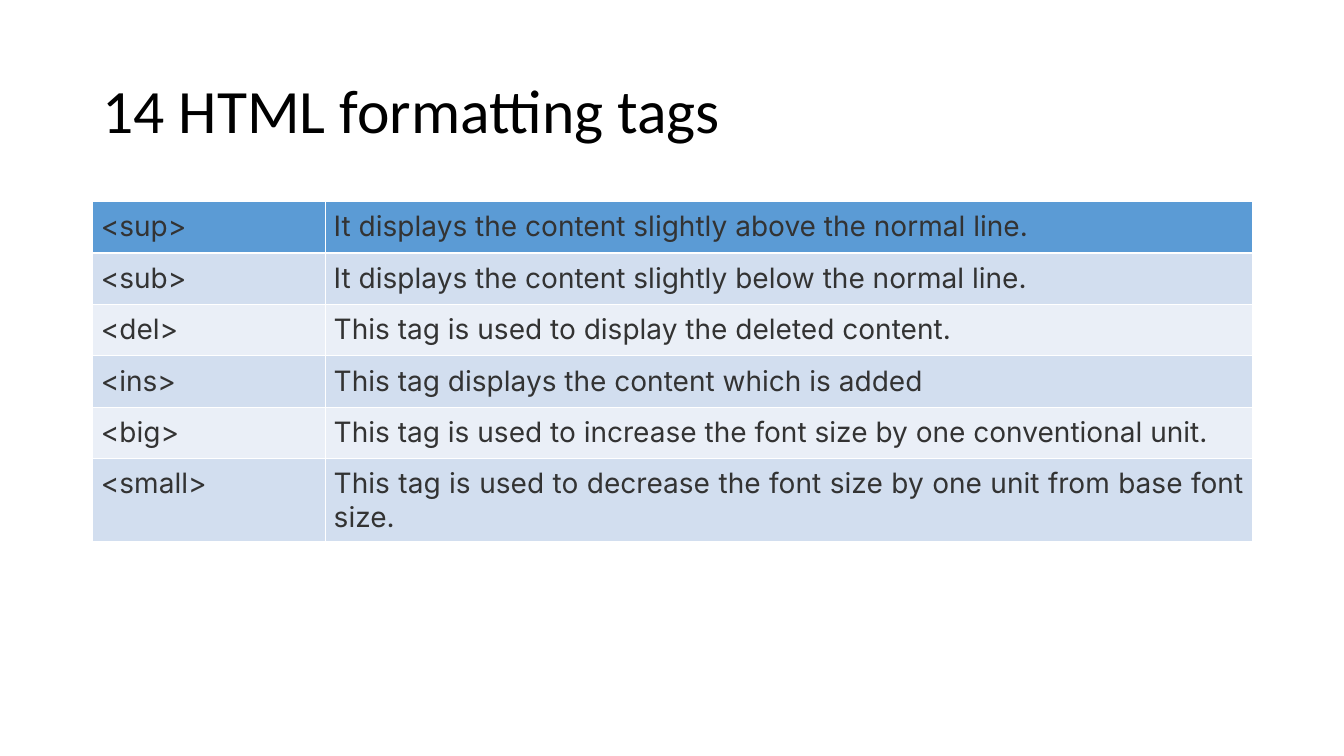
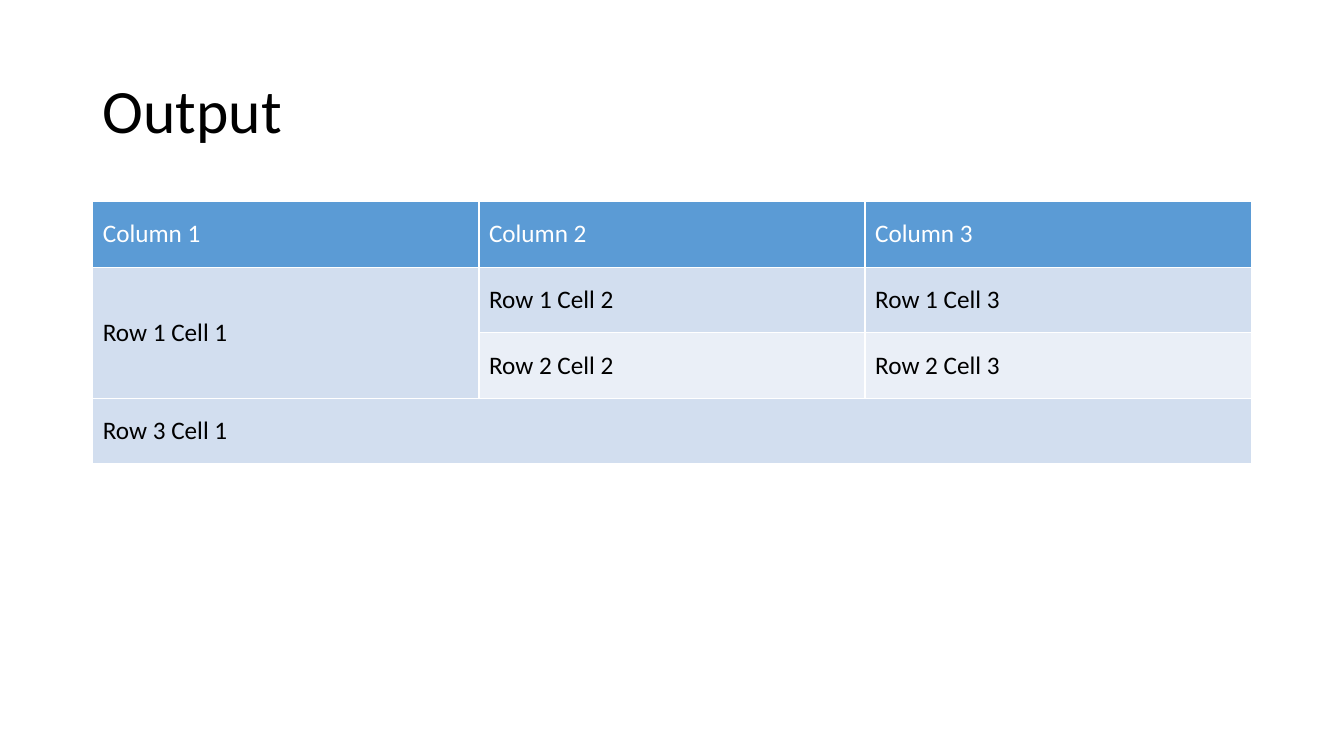
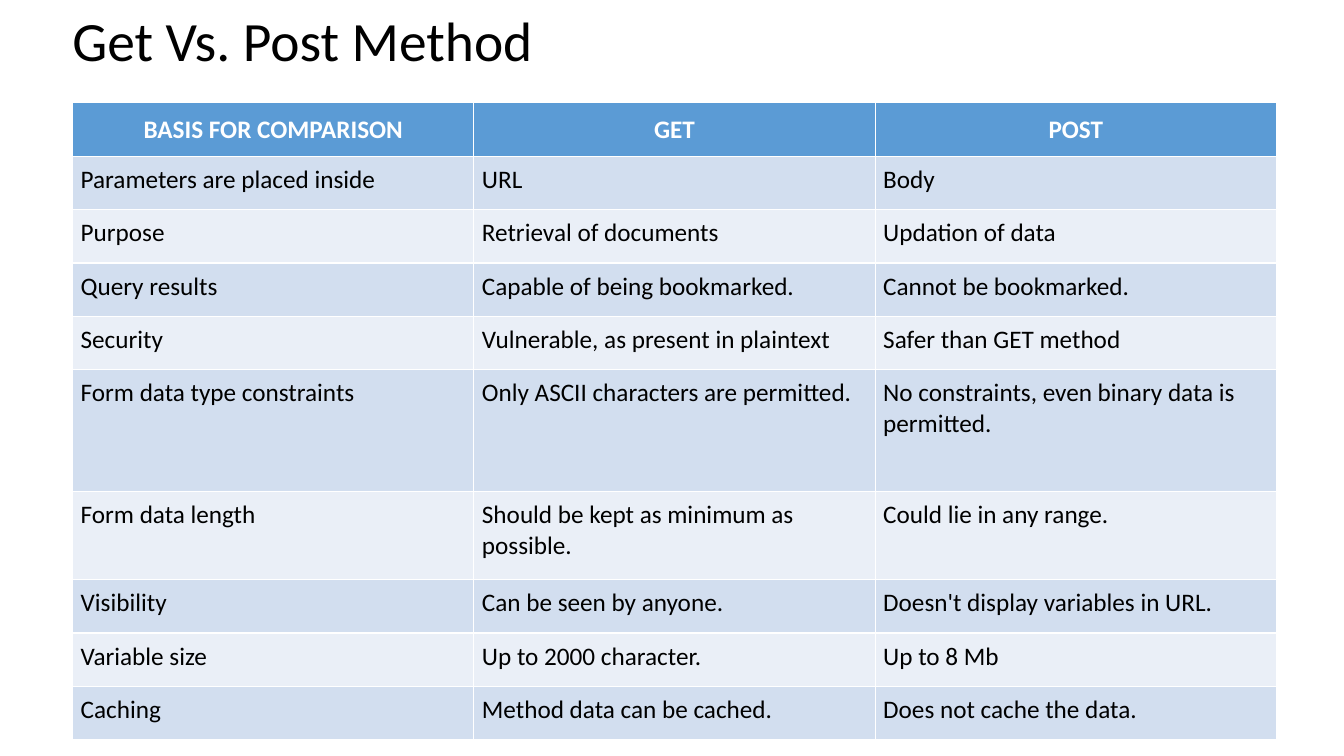
import pptx
import pptx.dml.color
import pptx.enum.text
import pptx.util
from lxml import etree
from pptx.oxml.ns import qn

Inches, Pt = pptx.util.Inches, pptx.util.Pt
ALIGN = pptx.enum.text.PP_ALIGN
ANCHOR = pptx.enum.text.MSO_ANCHOR

COLORS = {
    "text": "000000",
    "code": "333333",
    "white": "FFFFFF",
    "header": "5B9BD5",
    "band_dark": "D2DEEF",
    "band_light": "EAEFF7",
}


def rgb(name):
    return pptx.dml.color.RGBColor.from_string(COLORS[name])


def write(tf, text, size=18, font="Calibri", color="text", bold=False,
          align=ALIGN.LEFT, spacing=None):
    """Put one formatted paragraph into a text frame."""
    p = tf.paragraphs[0]
    p.alignment = align
    if spacing:
        p.line_spacing = spacing
    r = p.add_run()
    r.text = text
    r.font.size, r.font.name, r.font.bold = Pt(size), font, bold
    r.font.color.rgb = rgb(color)


def add_borders(cell, color="white", width=1):
    tcPr = cell._tc.get_or_add_tcPr()
    for side in ("lnL", "lnR", "lnT", "lnB"):
        ln = etree.SubElement(tcPr, qn(f"a:{side}"), w=str(Pt(width)))
        fill = etree.SubElement(ln, qn("a:solidFill"))
        etree.SubElement(fill, qn("a:srgbClr"), val=COLORS[color])


class Deck:
    """Holds the presentation, its style and the current slide."""

    def __init__(self):
        self.prs = pptx.Presentation()
        self.prs.slide_width = Inches(13.33)
        self.prs.slide_height = Inches(7.5)
        self.s = None

    def slide(self, title, left=0.92, top=0.4, height=1.45, size=44):
        self.s = self.prs.slides.add_slide(self.prs.slide_layouts[6])
        sp = self.s.shapes.add_textbox(Inches(left), Inches(top), Inches(11.5), Inches(height))
        tf = sp.text_frame
        tf.word_wrap = True
        tf.vertical_anchor = ANCHOR.MIDDLE
        write(tf, title, size=size, spacing=0.9)

    def table(self, rows, left, top, widths, heights, merges=(), inset=(0.08, 0.08),
              anchor=ANCHOR.TOP, header=None, **body):
        """Banded table; header holds what the first row changes in the body format."""
        sp = self.s.shapes.add_table(len(rows), len(widths), Inches(left), Inches(top),
                                     Inches(sum(widths)), Inches(sum(heights)))
        table = sp.table
        table.first_row = table.horz_banding = False
        for column, width in zip(table.columns, widths):
            column.width = Inches(width)
        for i, (row, height) in enumerate(zip(rows, heights)):
            table.rows[i].height = Inches(height)
            band = "header" if i == 0 else "band_dark" if i % 2 else "band_light"
            style = {**body, **(header or {})} if i == 0 else body
            for j in range(len(widths)):
                cell = table.cell(i, j)
                add_borders(cell)
                cell.fill.solid()
                cell.fill.fore_color.rgb = rgb(band)
                cell.margin_left = cell.margin_right = Inches(inset[0])
                cell.margin_top = cell.margin_bottom = Inches(inset[1])
                cell.vertical_anchor = ANCHOR.MIDDLE if i == 0 and header else anchor
                if j < len(row) and row[j]:
                    write(cell.text_frame, row[j], **style)
        for first, last in merges:
            table.cell(*first).merge(table.cell(*last))


def main():
    deck = Deck()

    # Formatting tags
    deck.slide("14 HTML formatting tags")
    tags = [
        ("<sup>", "It displays the content slightly above the normal line."),
        ("<sub>", "It displays the content slightly below the normal line."),
        ("<del>", "This tag is used to display the deleted content."),
        ("<ins>", "This tag displays the content which is added"),
        ("<big>", "This tag is used to increase the font size by one conventional unit."),
        ("<small>", "This tag is used to decrease the font size by one unit from base font size."),
    ]
    deck.table(tags, 0.92, 2, [2.31, 9.19], [0.51] * len(tags),
               size=20, font="Inter", color="code", align=ALIGN.JUSTIFY)

    # Merged cells
    deck.slide("Output")
    cells = [
        ("Column 1", "Column 2", "Column 3"),
        ("Row 1 Cell 1", "Row 1 Cell 2", "Row 1 Cell 3"),
        (None, "Row 2 Cell 2", "Row 2 Cell 3"),
        ("Row 3 Cell 1",),
    ]
    deck.table(cells, 0.92, 2, [3.83] * 3, [0.65] * len(cells),
               merges=[((1, 0), (2, 0)), ((3, 0), (3, 2))],
               inset=(0.1, 0.05), anchor=ANCHOR.MIDDLE, header={"color": "white"})

    # Comparison of methods
    deck.slide("Get Vs. Post Method", left=0.62, top=0.1, height=0.67, size=39.6)
    methods = [
        ("BASIS FOR COMPARISON", "GET", "POST"),
        ("Parameters are placed inside", "URL", "Body"),
        ("Purpose", "Retrieval of documents", "Updation of data"),
        ("Query results", "Capable of being bookmarked.", "Cannot be bookmarked."),
        ("Security", "Vulnerable, as present in plaintext", "Safer than GET method"),
        ("Form data type constraints", "Only ASCII characters are permitted.",
         "No constraints, even binary data is permitted."),
        ("Form data length", "Should be kept as minimum as possible.", "Could lie in any range."),
        ("Visibility", "Can be seen by anyone.", "Doesn't display variables in URL."),
        ("Variable size", "Up to 2000 character.", "Up to 8 Mb"),
        ("Caching", "Method data can be cached.", "Does not cache the data."),
    ]
    deck.table(methods, 0.72, 1.02, [3.98] * 3, [0.53] * 5 + [1.21, 0.87] + [0.53] * 3,
               header={"color": "white", "bold": True, "align": ALIGN.CENTER})

    deck.prs.save("out.pptx")


if __name__ == "__main__":
    main()
